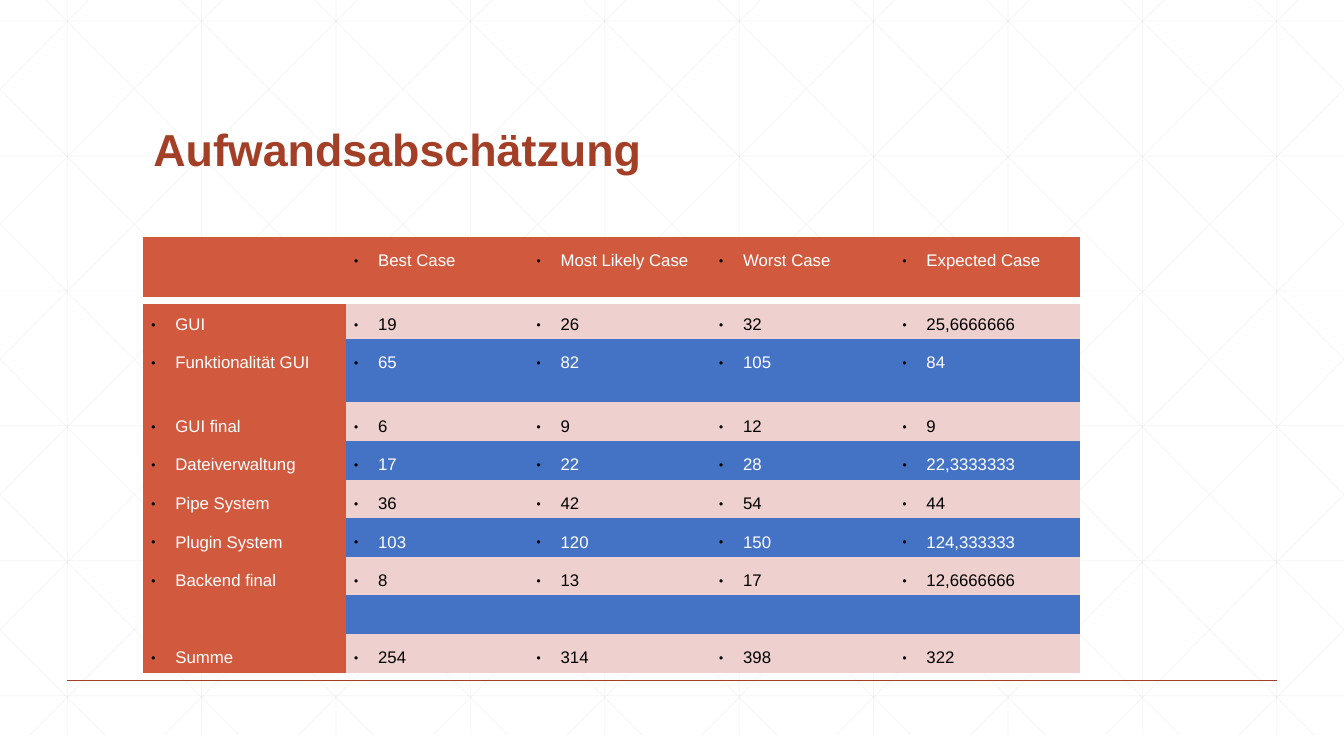
from lxml import etree
from pptx import Presentation
from pptx.dml import color
from pptx.enum import shapes, text
from pptx.oxml import ns
from pptx.util import Cm, Pt

# Content
TITLE = "Aufwandsabschätzung"
ESTIMATES = [
    ("", "Best Case", "Most Likely Case", "Worst Case", "Expected Case"),
    ("GUI", "19", "26", "32", "25,6666666"),
    ("Funktionalität GUI", "65", "82", "105", "84"),
    ("GUI final", "6", "9", "12", "9"),
    ("Dateiverwaltung", "17", "22", "28", "22,3333333"),
    ("Pipe System", "36", "42", "54", "44"),
    ("Plugin System", "103", "120", "150", "124,333333"),
    ("Backend final", "8", "13", "17", "12,6666666"),
    ("", "", "", "", ""),
    ("Summe", "254", "314", "398", "322"),
]
COLORS = {"grid": "D9D9D9", "rule": "A43F27", "head": "D15A3E", "light": "EED1CE",
          "blue": "4472C4", "white": "FFFFFF", "black": "000000"}

# Measures in centimetres
WIDTH, HEIGHT = 33.87, 19.05
PITCH = WIDTH / 10
GRID_TOP, GRID_BOTTOM = -0.53, 18.52
DIAGONAL_START, DIAGONAL_RUN = 0.63, 18.94
COLUMN_WIDTHS = [5.11, 4.6, 4.6, 4.62, 4.67]
TALL_ROW, ROW = 1.6, 0.86
TALL_ROWS = (0, 2)
CELL_FORMAT = {"margin_left": Cm(0.2), "margin_right": Cm(0.2),
               "margin_top": Cm(0.13), "margin_bottom": Cm(0.13)}
NO_STYLE = "{2D5ABB26-0587-4C30-8999-92F81FD0307C}"


def rgb(name):
    return color.RGBColor.from_string(COLORS[name])


def add_xml(parent, tag, **attributes):
    return etree.SubElement(parent, ns.qn(tag), attributes)


def apply(target, values):
    for name, value in values.items():
        setattr(target, name, value)


def add_line(page, start, end, tint, width, alpha=None):
    ends = [Cm(value) for value in (*start, *end)]
    line = page.shapes.add_connector(shapes.MSO_CONNECTOR.STRAIGHT, *ends)
    line.line.color.rgb = rgb(tint)
    line.line.width = Pt(width)
    properties = line.element.spPr
    if alpha:
        add_xml(properties.find(".//" + ns.qn("a:srgbClr")), "a:alpha", val=str(alpha * 1000))
    add_xml(properties, "a:effectLst")


def grid_lines():
    for step in range(10):
        x = PITCH * (step + 0.5)
        yield (x, GRID_TOP), (x, GRID_BOTTOM)
    for step in range(6):
        y = 0.53 + 3.4 * step
        yield (0, y), (WIDTH, y)
    slope = (GRID_BOTTOM - GRID_TOP) / DIAGONAL_RUN
    for step in range(-5, 10):
        top_x = DIAGONAL_START + PITCH * step
        left, right = max(0, top_x), min(WIDTH, top_x + DIAGONAL_RUN)
        y1, y2 = [GRID_TOP + (x - top_x) * slope for x in (left, right)]
        yield (left, y1), (right, y2)
        yield (WIDTH - left, y1), (WIDTH - right, y2)


def write(para, words, font):
    span = para.add_run()
    span.text = words
    tint = font.pop("tint")
    apply(span.font, {"name": "Arial", **font})
    span.font.color.rgb = rgb(tint)


def add_bullet(para):
    para.line_spacing = 1.5
    properties = para._p.get_or_add_pPr()
    properties.set("marL", str(Cm(0.61)))
    properties.set("indent", str(Cm(-0.61)))
    add_xml(add_xml(properties, "a:buClr"), "a:srgbClr", val=COLORS["black"])
    add_xml(properties, "a:buSzPct", val="45000")
    add_xml(properties, "a:buFont", typeface="Arial")
    add_xml(properties, "a:buChar", char="●")


def add_bottom_border(cell):
    properties = cell._tc.get_or_add_tcPr()
    border = add_xml(properties, "a:lnB", w=str(Pt(6)))
    add_xml(add_xml(border, "a:solidFill"), "a:srgbClr", val=COLORS["white"])
    properties.insert(0, border)


def cell_colors(row, column):
    if row == 0 or column == 0:
        return "head", "white"
    return ("light", "black") if row % 2 else ("blue", "white")


def add_estimates(page):
    heights = [TALL_ROW if row in TALL_ROWS else ROW for row in range(len(ESTIMATES))]
    frame = page.shapes.add_table(len(ESTIMATES), len(COLUMN_WIDTHS), Cm(3.61), Cm(5.97),
                                  Cm(sum(COLUMN_WIDTHS)), Cm(sum(heights)))
    table = frame.table
    apply(table, {"first_row": False, "horz_banding": False})
    table._tbl.tblPr.find(ns.qn("a:tableStyleId")).text = NO_STYLE
    for column, width in zip(table.columns, COLUMN_WIDTHS):
        column.width = Cm(width)
    for r, (height, words) in enumerate(zip(heights, ESTIMATES)):
        table.rows[r].height = Cm(height)
        for c, word in enumerate(words):
            cell = table.cell(r, c)
            fill, tint = cell_colors(r, c)
            apply(cell, CELL_FORMAT)
            cell.fill.solid()
            cell.fill.fore_color.rgb = rgb(fill)
            if r == 0:
                add_bottom_border(cell)
            para = cell.text_frame.paragraphs[0]
            add_bullet(para)
            write(para, word, {"size": Pt(12), "tint": tint})


def main():
    deck = Presentation()
    apply(deck, {"slide_width": Cm(WIDTH), "slide_height": Cm(HEIGHT)})
    page = deck.slides.add_slide(deck.slide_layouts[5])

    # Background grid and bottom rule
    for start, end in grid_lines():
        add_line(page, start, end, "grid", 0.5, alpha=25)
    add_line(page, (PITCH / 2, 17.15), (WIDTH - PITCH / 2, 17.15), "rule", 1)

    # Title, brought in front of the grid
    title = page.shapes.title
    apply(title, {"left": Cm(3.61), "top": Cm(1.4), "width": Cm(26.67), "height": Cm(3.18)})
    title.text_frame.vertical_anchor = text.MSO_ANCHOR.BOTTOM
    para = title.text_frame.paragraphs[0]
    apply(para, {"alignment": text.PP_ALIGN.LEFT, "line_spacing": 0.9})
    write(para, TITLE, {"size": Pt(32), "bold": True, "tint": "rule"})
    title.element.getparent().append(title.element)

    # Table
    add_estimates(page)
    deck.save("out.pptx")


if __name__ == "__main__":
    main()
